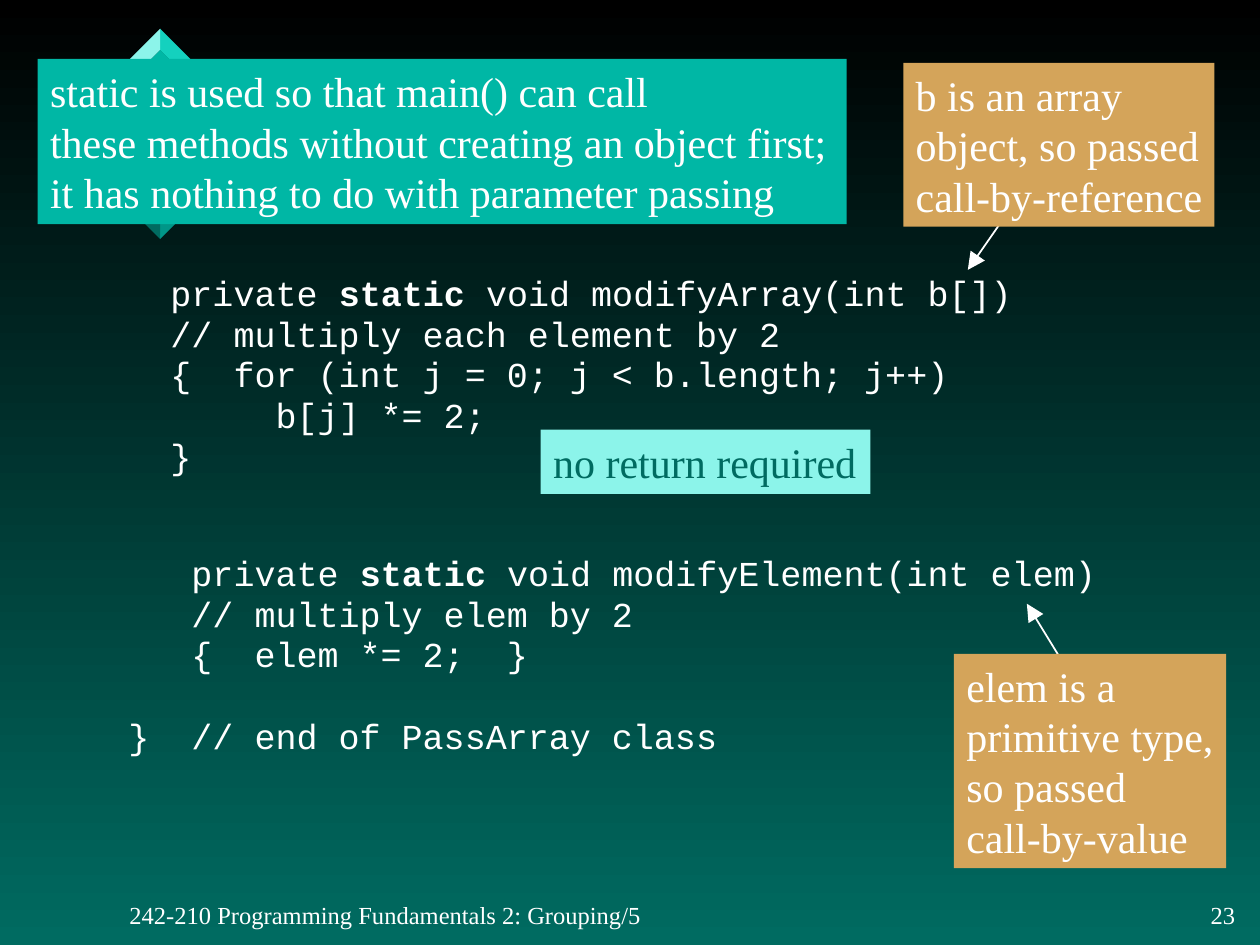
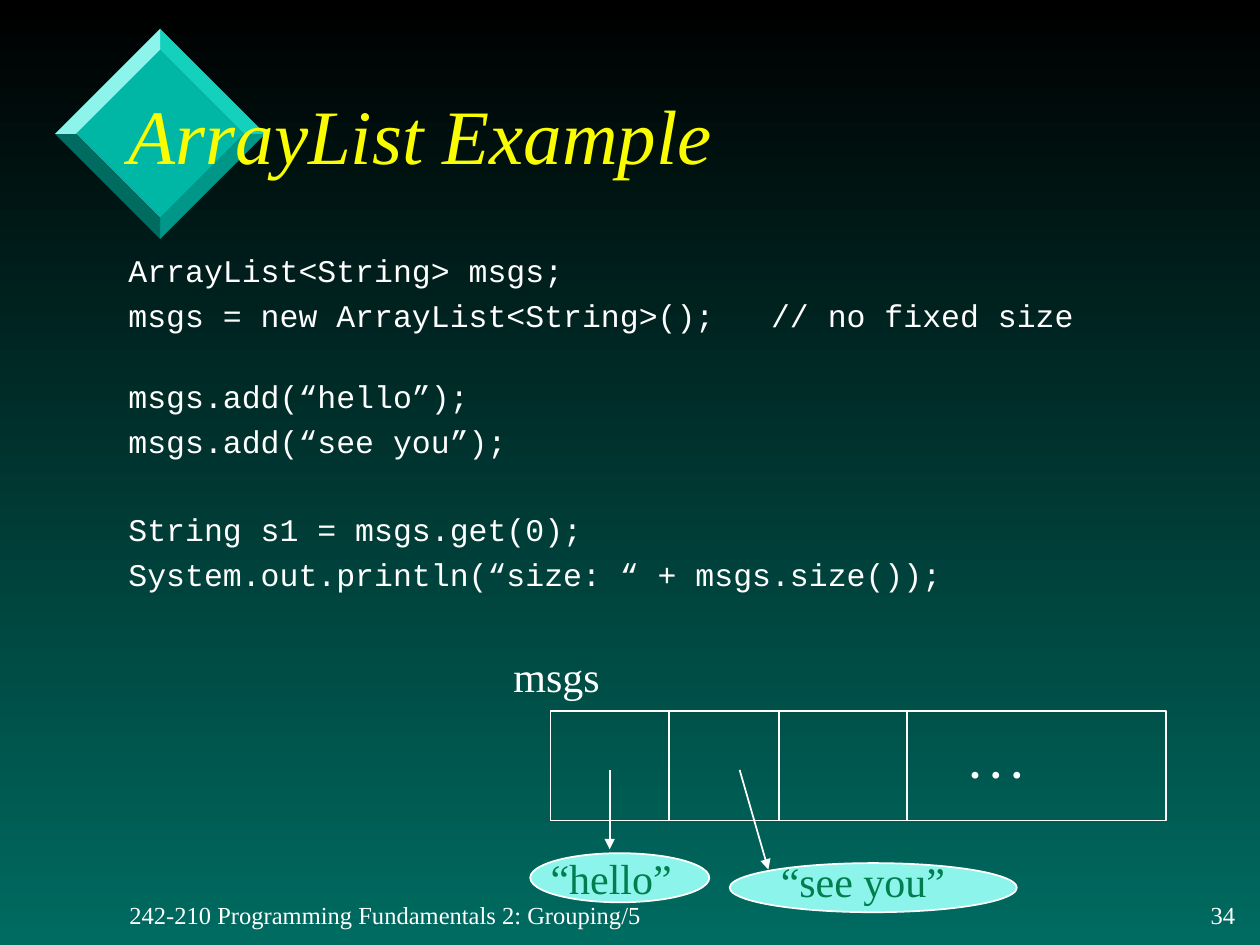
from pptx import Presentation
from pptx.dml.color import RGBColor
from pptx.enum.shapes import MSO_CONNECTOR, MSO_SHAPE
from pptx.enum.text import MSO_ANCHOR, PP_ALIGN
from pptx.oxml.ns import qn
from pptx.util import Cm, Pt
from lxml import etree

STRAIGHT = MSO_CONNECTOR.STRAIGHT
RECT, OVAL = MSO_SHAPE.RECTANGLE, MSO_SHAPE.OVAL
TOP, MIDDLE = MSO_ANCHOR.TOP, MSO_ANCHOR.MIDDLE
LEFT, RIGHT = PP_ALIGN.LEFT, PP_ALIGN.RIGHT

BLACK = RGBColor(0x00, 0x00, 0x00)
WHITE = RGBColor(0xFF, 0xFF, 0xFF)
YELLOW = RGBColor(0xFA, 0xFD, 0x00)
TEAL = RGBColor(0x00, 0xB7, 0xA5)
BRIGHT_TEAL = RGBColor(0x14, 0xD1, 0xBE)
MID_TEAL = RGBColor(0x00, 0x96, 0x88)
DARK_TEAL = RGBColor(0x00, 0x6B, 0x61)
PALE_TEAL = RGBColor(0x8C, 0xF4, 0xEA)
GREEN = RGBColor(0x00, 0x7E, 0x4F)
TAN = RGBColor(0xD4, 0xA4, 0x5A)

SERIF, MONO = "Times New Roman", "Courier New"
FOOTER = "242-210 Programming Fundamentals 2: Grouping/5"
KEYWORD = "static"
LINE_GAP = 4.1

PARAMETER_CODE = [
    (0, ["  private static void modifyArray(int b[])",
         "  // multiply each element by 2",
         "  {  for (int j = 0; j < b.length; j++)",
         "       b[j] *= 2;",
         "  }"]),
    (47.5, ["   private static void modifyElement(int elem)",
            "   // multiply elem by 2",
            "   {  elem *= 2;  }"]),
    (27.7, ["}  // end of PassArray class"]),
]
LIST_CODE = [
    (0, ["ArrayList<String> msgs;",
         "msgs = new ArrayList<String>();   // no fixed size"]),
    (24.8, ["msgs.add(“hello”);",
            "msgs.add(“see you”);"]),
    (28.8, ["String s1 = msgs.get(0);",
            "System.out.println(“size: “ + msgs.size());"]),
]


def set_font(p, size, color, name=SERIF):
    p.font.size, p.font.name = Pt(size), name
    p.font.color.rgb = color


def fill_text(sp, lines, size=24, color=WHITE, align=LEFT, anchor=MIDDLE):
    tf = sp.text_frame
    tf.word_wrap = False
    tf.vertical_anchor = anchor
    for i, line in enumerate(lines):
        p = tf.add_paragraph() if i else tf.paragraphs[0]
        p.text, p.alignment = line, align
        set_font(p, size, color)


def add_text(slide, box, text, **style):
    sp = slide.shapes.add_textbox(*map(Cm, box))
    fill_text(sp, [text], **style)
    return sp


def add_box(slide, kind, box, fill=None, line=None):
    sp = slide.shapes.add_shape(kind, *map(Cm, box))
    sp.shadow.inherit = False
    if fill is None:
        sp.fill.background()
    else:
        sp.fill.solid()
        sp.fill.fore_color.rgb = fill
    if line is None:
        sp.line.fill.background()
    else:
        sp.line.color.rgb, sp.line.width = line, Pt(1)
    return sp


def add_callout(slide, box, lines, fill, color=WHITE):
    fill_text(add_box(slide, RECT, box, fill), lines, color=color)


def add_line(slide, start, end, head=None):
    """Straight line; head is the arrowhead size, "med" or "lg"."""
    sp = slide.shapes.add_connector(STRAIGHT, *map(Cm, (*start, *end)))
    sp.line.color.rgb, sp.line.width = WHITE, Pt(1)
    if head:
        etree.SubElement(sp.line._get_or_add_ln(), qn("a:tailEnd"),
                         type="triangle", w=head, len=head)
    etree.SubElement(sp._element.spPr, qn("a:effectLst"))


def add_polygon(slide, points, color):
    (x, y), *rest = [(Cm(px), Cm(py)) for px, py in points]
    builder = slide.shapes.build_freeform(x, y)
    builder.add_line_segments(rest, close=True)
    sp = builder.convert_to_shape()
    sp.shadow.inherit = False
    sp.fill.solid()
    sp.fill.fore_color.rgb = color
    sp.line.fill.background()


def add_diamond(slide, left, top, size):
    """Bevelled diamond: a flat centre inside four facets."""
    half, bevel = size / 2, size / 10

    def corners(r):
        cx, cy = left + half, top + half
        return [(cx, cy - r), (cx + r, cy), (cx, cy + r), (cx - r, cy)]

    outer, inner = corners(half), corners(half - bevel)
    add_polygon(slide, inner, TEAL)
    for i, color in enumerate((BRIGHT_TEAL, MID_TEAL, DARK_TEAL, PALE_TEAL)):
        j = (i + 1) % 4
        add_polygon(slide, [outer[i], outer[j], inner[j], inner[i]], color)


def add_base_slide(prs, layout, number):
    slide = prs.slides.add_slide(prs.slide_layouts.get_by_name(layout))
    add_diamond(slide, 1.11, 0.58, 4.24)
    add_text(slide, (2.36, 18.01, 10.9, 0.84), FOOTER, size=14)
    add_text(slide, (24.08, 18.01, 1.07, 0.84), str(number), size=14, align=RIGHT)
    return slide


def add_code(slide, box, blocks, size, spacing=1.0):
    """Code listing; each block comes with the space before it in points."""
    tf = slide.shapes.add_textbox(*map(Cm, box)).text_frame
    tf.word_wrap = True
    p = None
    for gap, lines in blocks:
        for i, line in enumerate(lines):
            p = tf.add_paragraph() if p else tf.paragraphs[0]
            p.space_before = Pt(LINE_GAP if i else gap)
            p.line_spacing = spacing
            for part in filter(None, line.partition(KEYWORD)):
                r = p.add_run()
                r.text = part
                if part == KEYWORD:
                    r.font.bold = True
            set_font(p, size, WHITE, MONO)


def set_title(slide, box, text):
    """Fill the title and bring it in front of the diamond."""
    sp = slide.shapes.title
    sp.element.getparent().append(sp.element)
    sp.left, sp.top, sp.width, sp.height = map(Cm, box)
    sp.text_frame.text = text
    sp.text_frame.vertical_anchor = MIDDLE
    p = sp.text_frame.paragraphs[0]
    p.alignment = LEFT
    set_font(p, 44, YELLOW)
    p.font.italic = True


def add_list_diagram(slide, left, top, width, height):
    """The msgs list as a row of cells pointing to its two strings."""
    def at(x, y, *size):
        return (left + x, top + y, *size)

    add_text(slide, at(-1, -1.35, 2.26, 1.27), "msgs", anchor=TOP)
    add_box(slide, RECT, at(0, 0, width, height), line=WHITE)
    for x in (2.39, 4.6, 7.19):
        add_line(slide, at(x, 0), at(x, height))
    dots = add_text(slide, at(8.2, 0.4, 1.57, 1.27), ". . .", anchor=TOP)
    dots.text_frame.paragraphs[0].font.bold = True

    strings = [
        ("“hello”", (-0.41, 2.87, 3.61, 0.99), (-0.25, 2.74, 2.95, 1.27),
         (1.19, 1.19), (1.19, 2.79)),
        ("“see you”", (3.61, 3.07, 5.79, 0.99), (4.39, 2.79, 4.06, 1.27),
         (3.81, 1.19), (4.39, 3.2)),
    ]
    for text, oval, label, start, end in strings:
        add_box(slide, OVAL, at(*oval), PALE_TEAL, WHITE)
        add_text(slide, at(*label), text, color=GREEN, anchor=TOP)
        add_line(slide, at(*start), at(*end), head="med")


def add_parameter_slide(prs):
    slide = add_base_slide(prs, "Blank", 23)
    add_code(slide, (2.34, 5.51, 21.59, 11.43), PARAMETER_CODE, 20, 0.8)
    add_line(slide, (20.29, 4.32), (19.51, 5.44), head="lg")
    add_line(slide, (22.4, 14.94), (20.7, 12.17), head="lg")
    add_callout(slide, (0.76, 1.19, 16.31, 3.33),
                ["static is used so that main() can call",
                 "these methods without creating an object first;",
                 "it has nothing to do with parameter passing"], TEAL)
    add_callout(slide, (18.21, 1.27, 6.27, 3.3),
                ["b is an array", "object, so passed", "call-by-reference"], TAN)
    add_callout(slide, (19.23, 13.18, 5.49, 4.32),
                ["elem is a", "primitive type,", "so passed", "call-by-value"], TAN)
    add_callout(slide, (10.9, 8.66, 6.65, 1.3), ["no return required"],
                PALE_TEAL, DARK_TEAL)


def add_list_slide(prs):
    slide = add_base_slide(prs, "Title Only", 34)
    set_title(slide, (2.34, 1.17, 21.62, 3.07), "ArrayList Example")
    add_code(slide, (2.34, 4.93, 21.59, 7.59), LIST_CODE, 18)
    add_list_diagram(slide, 11.1, 14.33, 12.4, 2.21)


def set_background(prs):
    fill = prs.slide_master.background.fill
    fill.gradient()
    fill.gradient_angle = 270
    for stop, color in zip(fill.gradient_stops, (BLACK, DARK_TEAL)):
        stop.color.rgb = color


def main():
    prs = Presentation()
    prs.slide_width, prs.slide_height = Cm(25.4), Cm(19.05)
    set_background(prs)
    add_parameter_slide(prs)
    add_list_slide(prs)
    prs.save("out.pptx")


if __name__ == "__main__":
    main()
